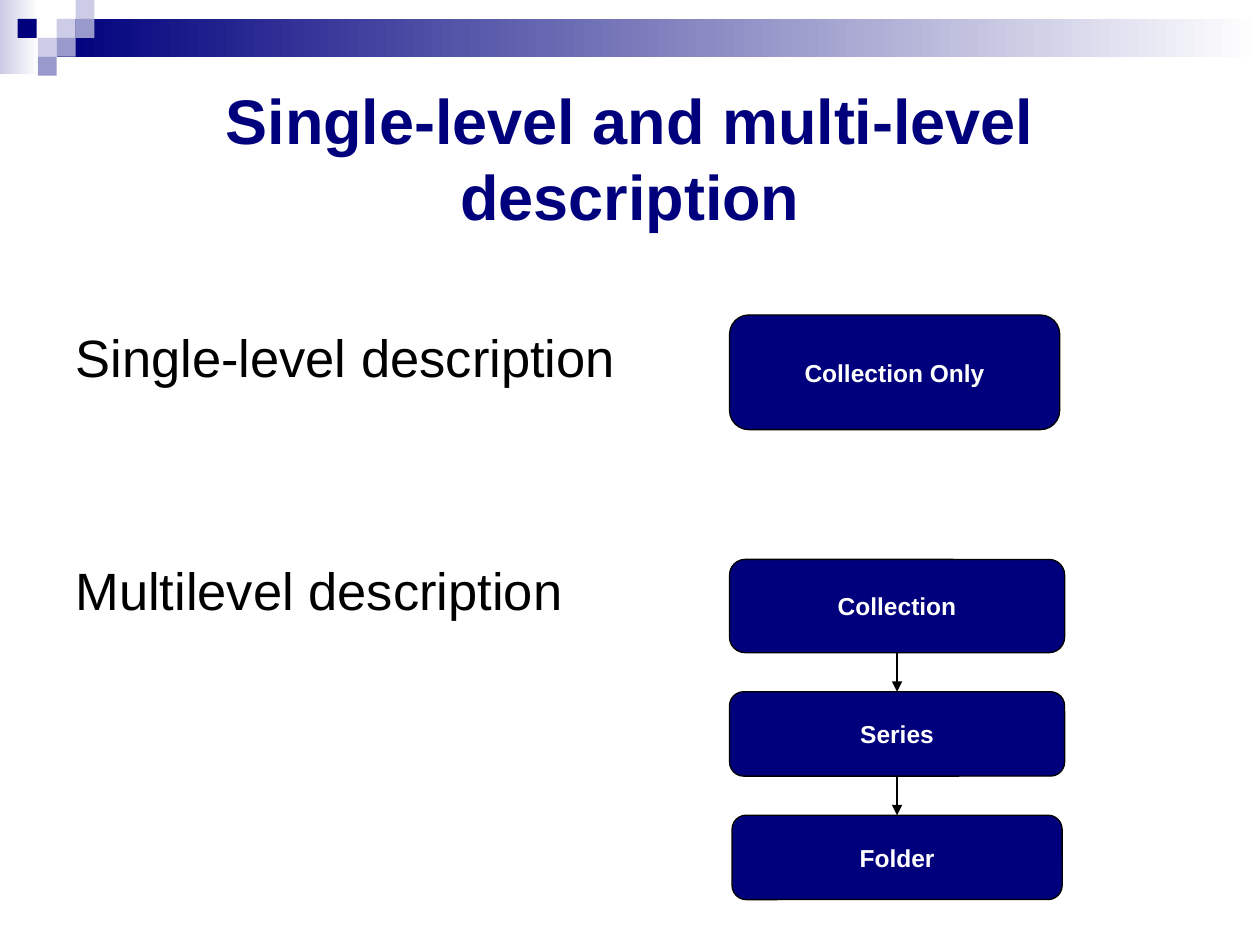
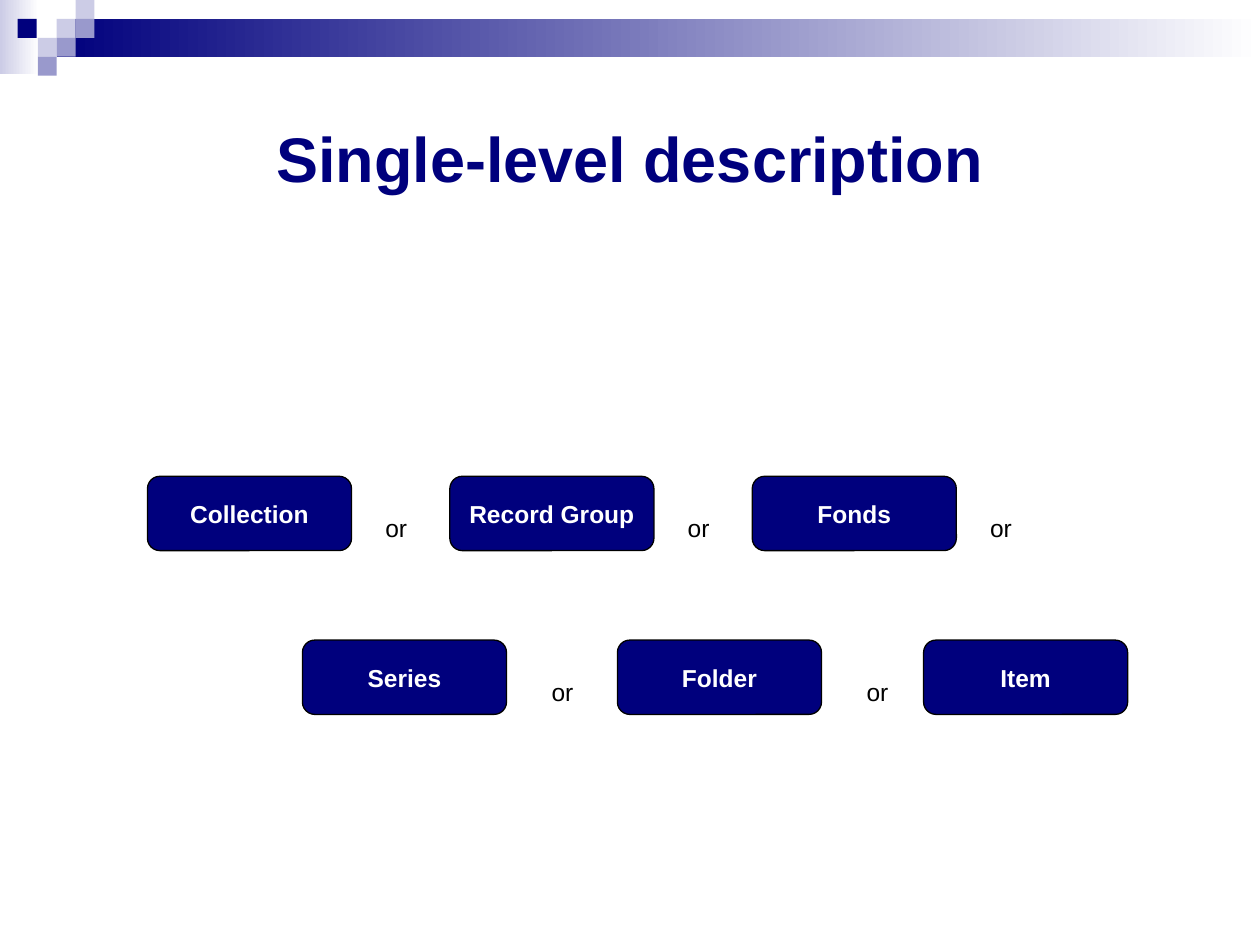
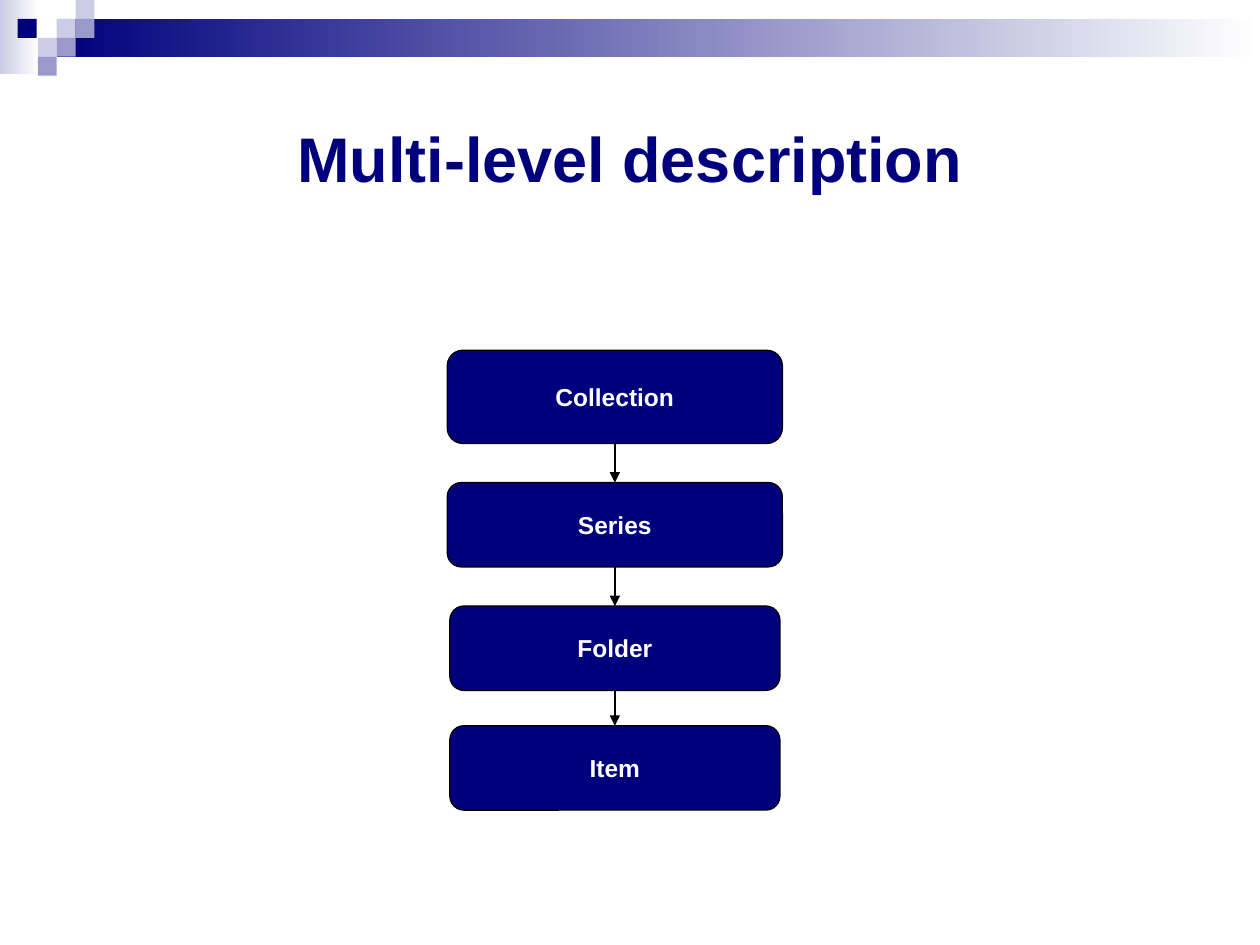
from pptx import Presentation
from pptx.dml.color import RGBColor
from pptx.enum.shapes import MSO_CONNECTOR, MSO_SHAPE
from pptx.enum.text import MSO_ANCHOR, PP_ALIGN
from pptx.oxml.ns import qn
from pptx.util import Inches, Pt
from lxml import etree

RECTANGLE = MSO_SHAPE.RECTANGLE
ROUNDED = MSO_SHAPE.ROUNDED_RECTANGLE
STRAIGHT = MSO_CONNECTOR.STRAIGHT
LEFT, CENTER = PP_ALIGN.LEFT, PP_ALIGN.CENTER
TOP, MIDDLE = MSO_ANCHOR.TOP, MSO_ANCHOR.MIDDLE

FONT = "Arial"
COLORS = {
    "navy": "00007D",
    "lilac": "9999CC",
    "pale": "CCCCE6",
    "white": "FFFFFF",
    "black": "000000",
}
SQUARE = 0.15
SQUARES = [
    (0.45, 0.15, "pale"),
    (0.6, 0, "pale"),
    (0.6, 0.15, "lilac"),
    (0.3, 0.3, "pale"),
    (0.14, 0.15, "navy"),
    (0.45, 0.3, "lilac"),
    (0.3, 0.45, "lilac"),
]
LEVELS = [
    ("Collection", 2.66, 0.74, 0.31),
    ("Series", 2.66, 0.67, 0.31),
    ("Folder", 2.62, 0.67, 0.28),
    ("Item", 2.62, 0.67, 0),
]


def color(name):
    return RGBColor.from_string(COLORS[name])


def write(shape, text, size=14, ink="black", bold=False, align=LEFT, anchor=TOP, inset=0.1):
    frame = shape.text_frame
    frame.word_wrap = True
    frame.vertical_anchor = anchor
    frame.margin_left = frame.margin_right = Inches(0.1)
    frame.margin_top = frame.margin_bottom = Inches(inset)
    para = frame.paragraphs[0]
    para.alignment = align
    span = para.add_run()
    span.text = text
    span.font.name = FONT
    span.font.size = Pt(size)
    span.font.bold = bold
    span.font.color.rgb = color(ink)


class Deck:
    def __init__(self):
        self.deck = Presentation()
        self.deck.slide_width = Inches(10)
        self.deck.slide_height = Inches(7.5)
        self.page = None

    def add_page(self, title):
        self.page = self.deck.slides.add_slide(self.deck.slide_layouts[6])
        self.band(0, 0, 0.31, 0.59, "pale")
        self.band(0.45, 0.15, 9.55, 0.3, "navy")
        for left, top, name in SQUARES:
            square = self.shape(RECTANGLE, left, top, SQUARE, SQUARE)
            square.fill.solid()
            square.fill.fore_color.rgb = color(name)
        self.text(title, 0.5, 0.5, 9, 1.5, size=36, ink="navy", bold=True,
                  align=CENTER, anchor=MIDDLE, inset=0.05)

    def shape(self, kind, left, top, width, height):
        shape = self.page.shapes.add_shape(
            kind, Inches(left), Inches(top), Inches(width), Inches(height))
        shape.shadow.inherit = False
        shape.line.fill.background()
        return shape

    def band(self, left, top, width, height, start):
        band = self.shape(RECTANGLE, left, top, width, height)
        band.fill.gradient()
        band.fill.gradient_angle = 0
        for stop, name, position in zip(band.fill.gradient_stops, (start, "white"), (0, 1)):
            stop.color.rgb = color(name)
            stop.position = position

    def text(self, text, left, top, width, height, **style):
        box = self.page.shapes.add_textbox(
            Inches(left), Inches(top), Inches(width), Inches(height))
        write(box, text, **style)

    def box(self, label, left, top, width, height):
        box = self.shape(ROUNDED, left, top, width, height)
        box.adjustments[0] = 0.167
        box.fill.solid()
        box.fill.fore_color.rgb = color("navy")
        box.line.color.rgb = color("black")
        box.line.width = Pt(0.75)
        write(box, label, ink="white", bold=True, align=CENTER, anchor=MIDDLE)

    def arrow(self, center, top, bottom):
        arrow = self.page.shapes.add_connector(
            STRAIGHT, Inches(center), Inches(top), Inches(center), Inches(bottom))
        arrow.line.color.rgb = color("black")
        arrow.line.width = Pt(0.75)
        etree.SubElement(arrow.line._get_or_add_ln(), qn("a:tailEnd"), type="triangle")
        etree.SubElement(arrow._element.spPr, qn("a:effectLst"))

    def chain(self, levels, center, top):
        for index, (label, width, height, gap) in enumerate(levels):
            self.box(label, center - width / 2, top, width, height)
            bottom = top + height
            top = bottom + gap
            if index < len(levels) - 1:
                self.arrow(center, bottom, top)

    def choices(self, labels, lefts, top, or_offset, or_count):
        for index, (label, left) in enumerate(zip(labels, lefts)):
            self.box(label, left, top, 1.62, 0.59)
            if index < or_count:
                self.text("or", left + or_offset, top + 0.19, 0.44, 0.4)


def main():
    slides = Deck()

    slides.add_page("Single-level and multi-level description")
    for label, top in (("Single-level description", 2.48), ("Multilevel description", 4.33)):
        slides.text(label, 0.5, top, 5.72, 1.07, size=30)
    slides.box("Collection Only", 5.79, 2.5, 2.62, 0.91)
    slides.chain(LEVELS[:3], 7.12, 4.44)

    slides.add_page("Single-level description")
    slides.choices(["Collection", "Record Group", "Fonds"], [1.17, 3.57, 5.97], 3.78, 1.79, 3)
    slides.choices(["Series", "Folder", "Item"], [2.4, 4.9, 7.33], 5.08, 1.88, 2)

    slides.add_page("Multi-level description")
    slides.chain(LEVELS, 4.88, 2.78)

    slides.deck.save("out.pptx")


if __name__ == "__main__":
    main()
